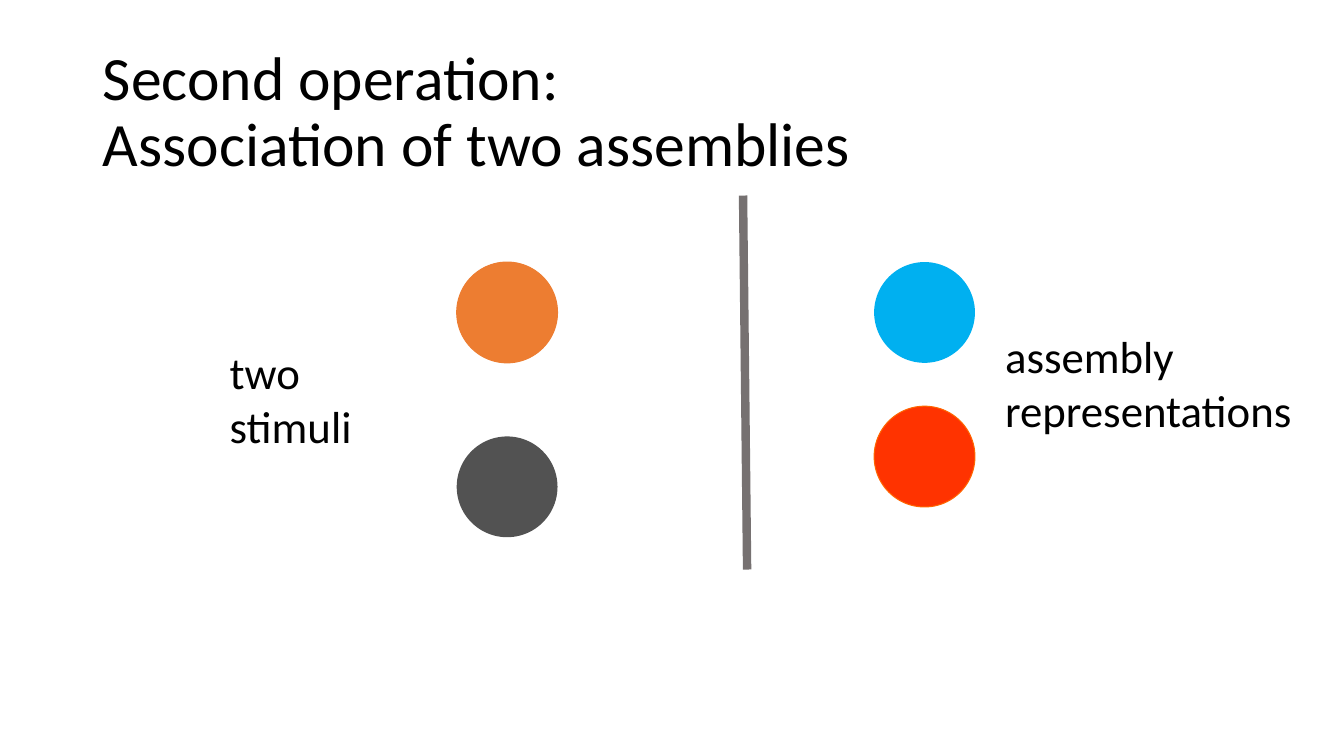
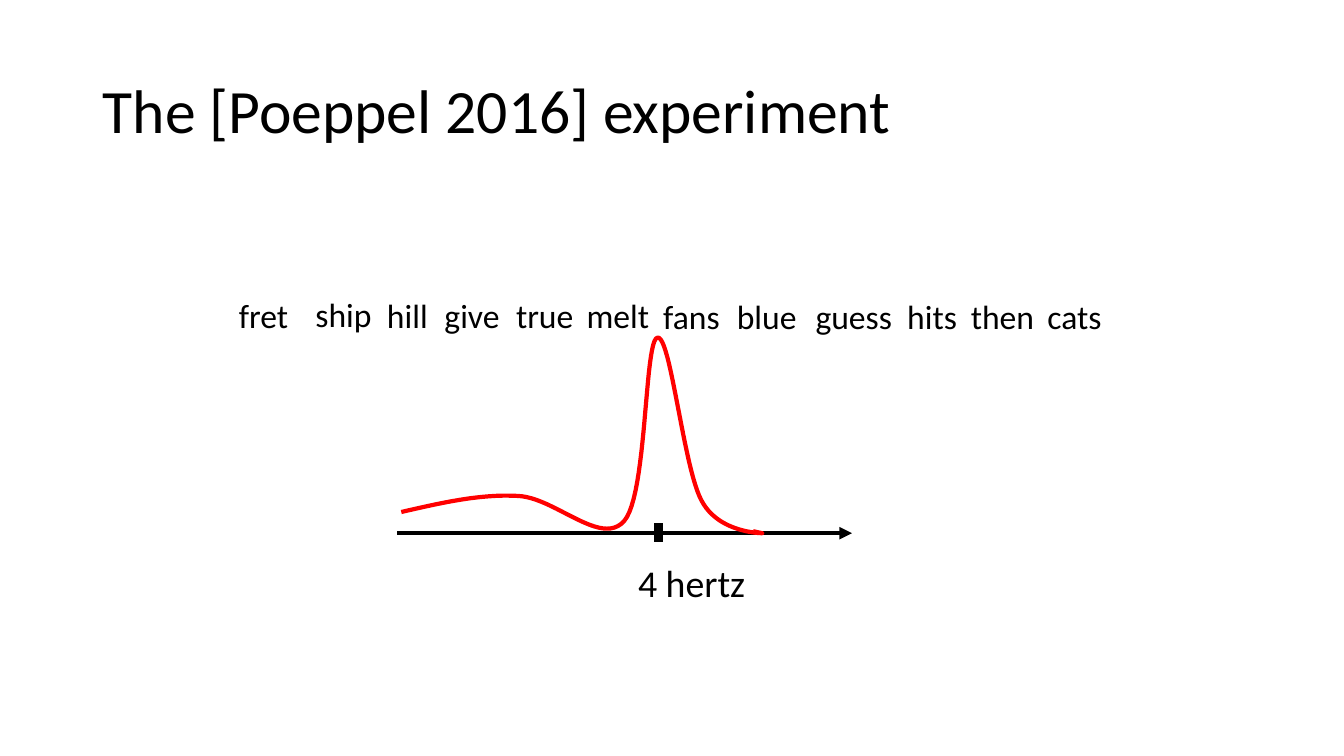
from lxml.etree import SubElement
from pptx import Presentation
from pptx.dml.color import RGBColor as Rgb
from pptx.enum.shapes import MSO_CONNECTOR as Link, MSO_SHAPE as Shape
from pptx.enum.text import MSO_ANCHOR as Anchor, MSO_AUTO_SIZE as Fit, PP_ALIGN as Align
from pptx.oxml.ns import qn
from pptx.util import Inches, Pt

FONT = "Calibri"
COLORS = {
    "text": "000000",
    "orange": "ED7D31",
    "blue": "00B0F0",
    "grey": "525252",
    "red": "FF3300",
    "rim": "FF6600",
    "rule": "767171",
    "curve": "FF0000",
}
# word, left, top, width
WORDS = [
    ("fret", 2.27, 2.88, 0.72), ("ship", 3.03, 2.87, 0.76),
    ("hill", 3.74, 2.88, 0.63), ("give", 4.31, 2.88, 0.78),
    ("true", 5.02, 2.88, 0.8), ("melt", 5.72, 2.88, 0.85),
    ("fans", 6.48, 2.89, 0.77), ("blue", 7.21, 2.89, 0.82),
    ("guess", 7.99, 2.89, 0.98), ("hits", 8.9, 2.89, 0.73),
    ("then", 9.53, 2.89, 0.85), ("cats", 10.29, 2.89, 0.76),
]
START = (3.98, 5.08)
# two control points and an end point for each Bezier piece
BENDS = [
    ((4.37, 4.99), (4.76, 4.9), (5.13, 4.92)),
    ((5.5, 4.93), (5.96, 5.43), (6.19, 5.17)),
    ((6.42, 4.91), (6.39, 3.38), (6.52, 3.35)),
    ((6.65, 3.31), (6.78, 4.65), (6.96, 4.97)),
    ((7.13, 5.29), (7.56, 5.29), (7.56, 5.29)),
]
END = (7.47, 5.27)
STEPS = 24


def color(name):
    return Rgb.from_string(COLORS[name])


def add_run(para, text, size):
    run = para.add_run()
    run.text = text
    run.font.name = FONT
    run.font.size = Pt(size)
    run.font.color.rgb = color("text")


def set_line(shape, name, width):
    shape.line.color.rgb = color(name)
    shape.line.width = Pt(width)


def add_slide(prs, *lines):
    """Add a title-only slide whose title has the given lines."""
    slide = prs.slides.add_slide(prs.slide_layouts[5])
    title = slide.shapes.title
    title.left, title.top = Inches(0.92), Inches(0.4)
    title.width, title.height = Inches(11.5), Inches(1.45)
    frame = title.text_frame
    frame.auto_size = Fit.NONE
    frame.vertical_anchor = Anchor.MIDDLE
    para = frame.paragraphs[0]
    para.alignment = Align.LEFT
    para.line_spacing = 0.9
    for i, text in enumerate(lines):
        if i:
            para.add_line_break()
        add_run(para, text, 44)
    return slide


def add_text(slide, lines, box, size):
    frame = slide.shapes.add_textbox(*map(Inches, box)).text_frame
    frame.word_wrap = False
    frame.auto_size = Fit.SHAPE_TO_FIT_TEXT
    for i, text in enumerate(lines):
        para = frame.add_paragraph() if i else frame.paragraphs[0]
        add_run(para, text, size)


def add_disc(slide, left, top, fill, rim=None):
    disc = slide.shapes.add_shape(
        Shape.OVAL, Inches(left), Inches(top), Inches(1), Inches(1))
    disc.shadow.inherit = False
    disc.fill.solid()
    disc.fill.fore_color.rgb = color(fill)
    if rim:
        set_line(disc, rim, 0.75)
    else:
        disc.line.fill.background()


def add_line(slide, start, end, name, width, arrow=False):
    line = slide.shapes.add_connector(
        Link.STRAIGHT, *map(Inches, (*start, *end)))
    set_line(line, name, width)
    props = line._element.spPr
    if arrow:
        SubElement(props.find(qn("a:ln")), qn("a:tailEnd"), type="triangle")
    SubElement(props, qn("a:effectLst"))


def bezier(a, b, c, d, t):
    u = 1 - t
    return tuple(
        u**3 * p + 3 * u * u * t * q + 3 * u * t * t * r + t**3 * s
        for p, q, r, s in zip(a, b, c, d))


def add_curve(slide):
    """Draw the response curve as short segments along its Bezier pieces."""
    points, last = [], START
    for bend in BENDS:
        points += [bezier(last, *bend, i / STEPS) for i in range(1, STEPS + 1)]
        last = bend[-1]
    points.append(END)
    path = slide.shapes.build_freeform(*map(Inches, START))
    path.add_line_segments(
        [(Inches(x), Inches(y)) for x, y in points], close=False)
    curve = path.convert_to_shape()
    curve.shadow.inherit = False
    curve.fill.background()
    set_line(curve, "curve", 3)


def add_pairs(prs):
    slide = add_slide(prs, "Second operation:", "Association of two assemblies")
    add_disc(slide, 4.53, 2.6, "orange", "orange")
    add_disc(slide, 8.67, 2.6, "blue")
    add_disc(slide, 4.53, 4.33, "grey")
    add_disc(slide, 8.67, 4.03, "red", "rim")
    add_line(slide, (7.37, 1.94), (7.41, 5.65), "rule", 6)
    add_text(slide, ["two", "stimuli"], (2.18, 3.37, 1.43, 1.18), 32)
    add_text(slide, ["assembly", "representations"],
             (9.87, 3.21, 3.07, 1.18), 32)


def add_test(prs):
    slide = add_slide(prs, "The [Poeppel 2016] experiment")
    for word, left, top, width in WORDS:
        add_text(slide, [word], (left, top, width, 0.5), 24)
    add_line(slide, (3.94, 5.29), (8.45, 5.29), "text", 3, arrow=True)
    add_curve(slide)
    add_text(slide, ["4 hertz"], (6.23, 5.5, 1.27, 0.56), 27)
    add_line(slide, (6.53, 5.19), (6.53, 5.38), "text", 6)


def main():
    prs = Presentation()
    prs.slide_width, prs.slide_height = Inches(13.33), Inches(7.5)
    add_pairs(prs)
    add_test(prs)
    prs.save("out.pptx")


if __name__ == "__main__":
    main()
